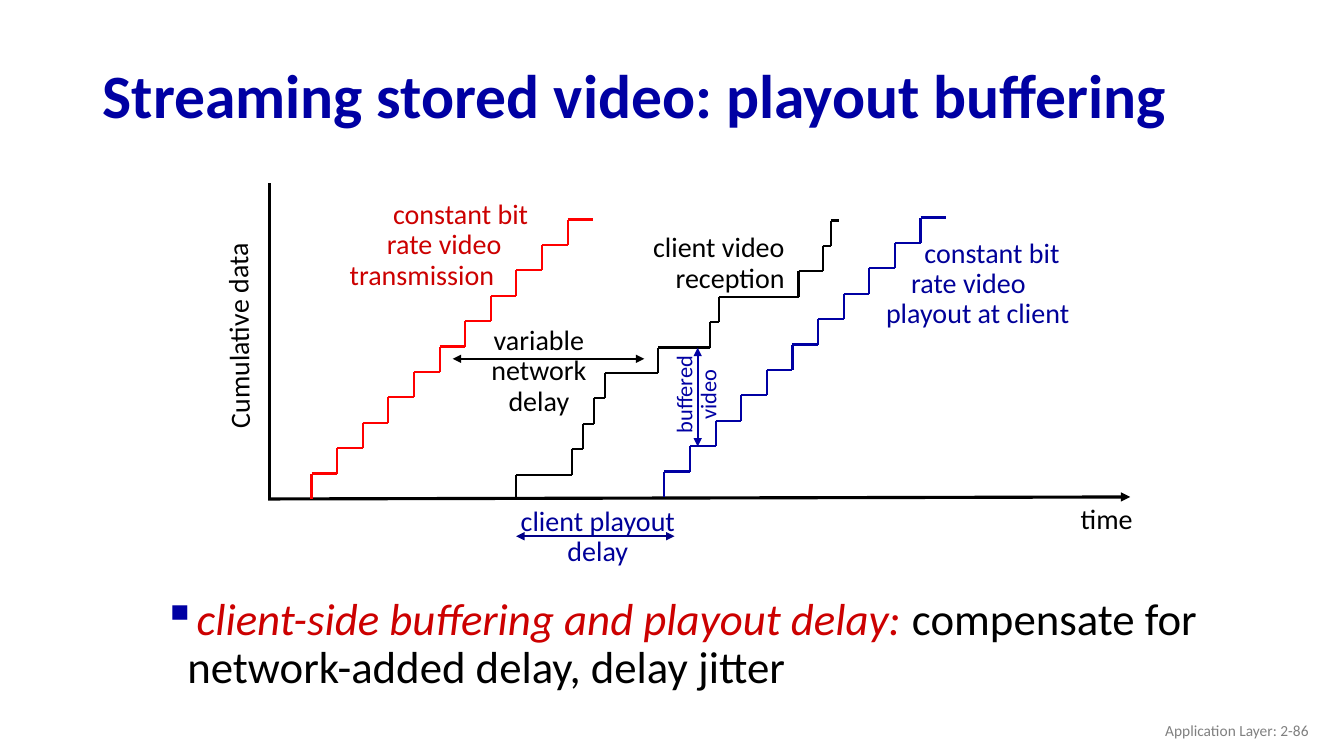
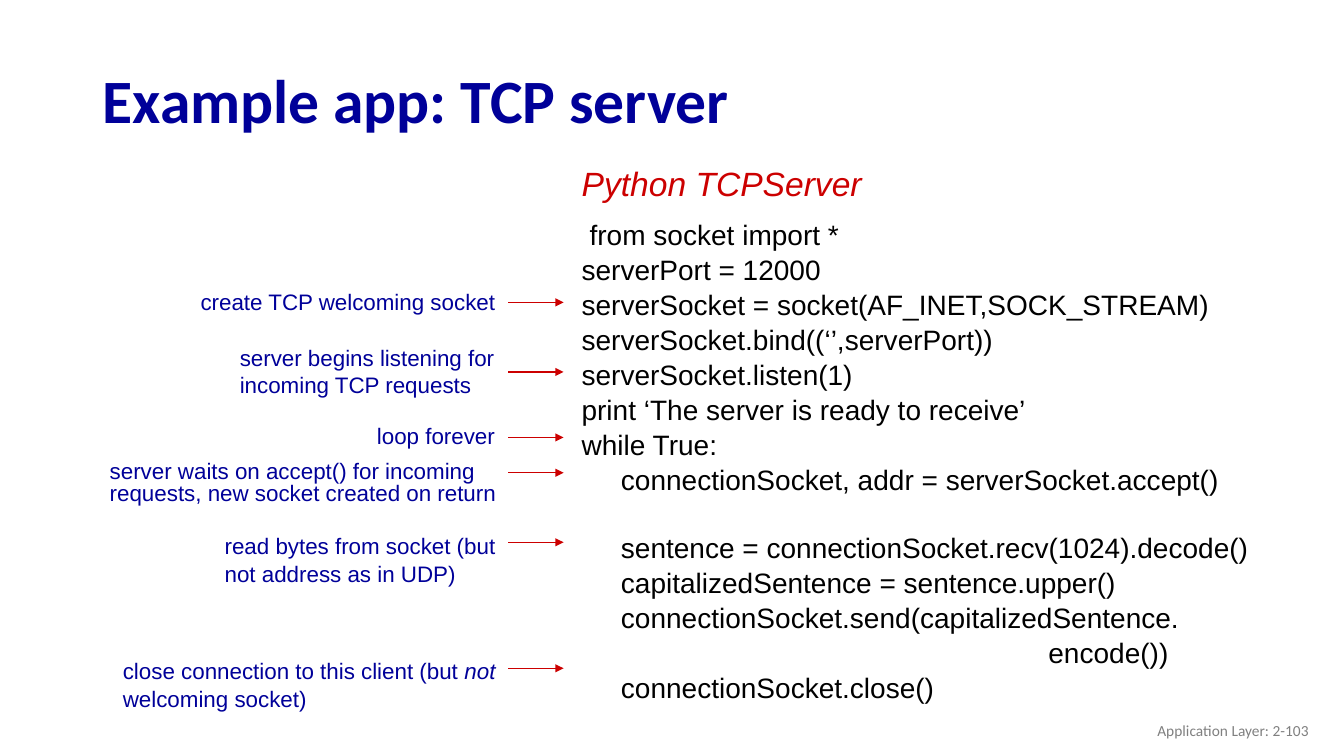
from lxml import etree
from pptx import Presentation
from pptx.dml.color import RGBColor
from pptx.enum import shapes, text
from pptx.oxml.ns import qn
from pptx.util import Inches, Pt

NAVY = RGBColor(0x00, 0x00, 0x99)
BLUE = RGBColor(0x00, 0x00, 0xA3)
DARK_BLUE = RGBColor(0x01, 0x00, 0x86)
CRIMSON = RGBColor(0xCC, 0x00, 0x00)
RED = RGBColor(0xFF, 0x00, 0x00)
BLACK = RGBColor(0x00, 0x00, 0x00)
GRAY = RGBColor(0x80, 0x80, 0x80)
LEFT, CENTER, RIGHT = text.PP_ALIGN.LEFT, text.PP_ALIGN.CENTER, text.PP_ALIGN.RIGHT
TOP, MIDDLE = text.MSO_ANCHOR.TOP, text.MSO_ANCHOR.MIDDLE


def add_text(s, at, lines, size, color, font="Calibri", spacing=0.9,
             align=LEFT, anchor=TOP, indents=(), rotation=0):
    sp = s.shapes.add_textbox(*map(Inches, at))
    sp.rotation = rotation
    tf = sp.text_frame
    tf.word_wrap = True
    tf.vertical_anchor = anchor
    tf.text = "\n".join(lines)
    for p in tf.paragraphs:
        p.alignment = align
        p.line_spacing = spacing
        p.font.name = font
        p.font.size = Pt(size)
        p.font.color.rgb = color
    for p, indent in zip(tf.paragraphs, indents):
        p._p.get_or_add_pPr().set("marL", str(Inches(indent)))
    return tf


def add_line(s, x1, y1, x2, y2, color, width=1.5, ends=()):
    cx = s.shapes.add_connector(shapes.MSO_CONNECTOR.STRAIGHT,
                                *map(Inches, (x1, y1, x2, y2)))
    cx.line.color.rgb = color
    cx.line.width = Pt(width)
    for end in ends:
        etree.SubElement(cx.line._get_or_add_ln(), qn("a:" + end), type="triangle")
    etree.SubElement(cx._element.spPr, qn("a:effectLst"))


prs = Presentation()
prs.slide_width, prs.slide_height = Inches(13.33), Inches(7.5)

slides = []
for title, color, spacing, number in [
    ("Streaming stored video: playout buffering", BLUE, 0.9, 86),
    ("Example app: TCP server", NAVY, 1.0, 103),
]:
    s = prs.slides.add_slide(prs.slide_layouts[6])
    tf = add_text(s, (0.92, 0.49, 11.5, 0.98), [title], 44, color,
                  spacing=spacing, anchor=MIDDLE)
    tf.paragraphs[0].font.bold = True
    add_text(s, (10.08, 7.05, 3, 0.4), [f"Application Layer: 2-{number}"], 11, GRAY,
             spacing=1.0, align=RIGHT, anchor=MIDDLE)
    slides.append(s)

s = slides[0]
add_line(s, 2.67, 1.82, 2.67, 4.94, BLACK, 2.25)
add_line(s, 2.66, 4.95, 11.21, 4.93, BLACK, 2.25, ["tailEnd"])

STEPS, RISE, RUN = 11, 0.252, 0.254
sent = [3.09 + RUN * i for i in range(STEPS + 1)]
received = [5.12, 5.67, 5.78, 5.89, 6, 6.53, 7.04, 7.13, 7.92, 8.16, 8.24, 8.32]
played = [6.59 + RUN * i for i in range(STEPS + 1)]
for xs, base, color in [(sent, 4.95, RED), (received, 4.96, BLACK), (played, 4.93, BLUE)]:
    for i in range(STEPS):
        y = base - RISE * i
        add_line(s, xs[i], y, xs[i], y - RISE, color)
        add_line(s, xs[i], y - RISE, xs[i + 1], y - RISE, color)

both = ["headEnd", "tailEnd"]
add_line(s, 4.49, 3.56, 6.39, 3.56, BLACK, ends=both)
add_line(s, 5.12, 5.32, 6.69, 5.32, DARK_BLUE, ends=both)
add_line(s, 6.92, 4.43, 6.92, 3.45, BLUE, ends=both)

add_text(s, (3.37, 1.94, 2.06, 1.01), ["constant bit", "rate video", "transmission"],
         20, CRIMSON, indents=(0.43, 0.37, 0))
add_text(s, (8.63, 2.32, 2.3, 1.01), ["constant bit", "rate video", "playout at client"],
         20, NAVY, indents=(0.44, 0.31, 0.06))
add_text(s, (1.31, 3.08, 2.14, 0.4), ["Cumulative data"], 20, BLACK, rotation=269.4)
add_text(s, (10.62, 4.96, 0.9, 0.4), ["time"], 20, BLACK)
add_text(s, (4.67, 3.19, 1.35, 1.01), ["variable", "network", "delay"], 20, BLACK,
         align=CENTER)
add_text(s, (6.26, 2.27, 1.62, 0.71), ["client video", "reception"], 20, BLACK,
         align=RIGHT)
add_text(s, (5.01, 4.98, 1.84, 0.71), ["client playout", "delay"], 20, NAVY,
         align=CENTER)
add_text(s, (6.33, 3.62, 1.18, 0.59), ["buffered", "video"], 16, BLUE,
         align=CENTER, rotation=270)

tf = add_text(s, (1.37, 5.87, 11.5, 0.97), ["client-side buffering and playout delay: "],
              32, BLACK, indents=[0.39])
p = tf.paragraphs[0]
p.runs[0].font.italic = True
p.runs[0].font.color.rgb = CRIMSON
p.add_run().text = "compensate for network-added delay, delay jitter"
pPr = p._p.get_or_add_pPr()
pPr.set("indent", str(Inches(-0.24)))
bullet_color = etree.Element(qn("a:buClr"))
etree.SubElement(bullet_color, qn("a:srgbClr"), val=str(BLUE))
bullet_char = etree.Element(qn("a:buChar"), char="▪")
position = pPr.index(pPr.find(qn("a:lnSpc"))) + 1
pPr[position:position] = [bullet_color, bullet_char]

s = slides[1]
tf = add_text(s, (5.67, 1.57, 3.09, 0.51), ["Python TCPServer"], 24, CRIMSON, "Arial", 1.0)
tf.paragraphs[0].font.italic = True

TAB = 0.39
code = [
    (0.08, "from socket import *"),
    (0, "serverPort = 12000"),
    (0, "serverSocket = socket(AF_INET,SOCK_STREAM)"),
    (0, "serverSocket.bind((‘’,serverPort))"),
    (0, "serverSocket.listen(1)"),
    (0, "print ‘The server is ready to receive’"),
    (0, "while True:"),
    (TAB, "connectionSocket, addr = serverSocket.accept()"),
    (TAB, "sentence = connectionSocket.recv(1024).decode()"),
    (TAB, "capitalizedSentence = sentence.upper()"),
    (TAB, "connectionSocket.send(capitalizedSentence."),
    (4.63, "encode())"),
    (TAB, "connectionSocket.close()"),
]
indents, lines = zip(*code)
tf = add_text(s, (5.67, 2.1, 7.2, 4.9), lines, 20, BLACK, "Arial", 1.04, indents=indents)
tf.paragraphs[8].space_before = Pt(24)

for at, label, spacing, arrow_y in [
    ((1.89, 2.8, 3.35, 0.37), "create TCP welcoming socket", 1.04, 3),
    ((2.28, 3.35, 3.14, 0.64), "server begins listening for incoming TCP requests", 1.04, 3.69),
    ((3.64, 4.18, 2.03, 0.33), "loop forever", Pt(16), 4.34),
    ((0.99, 4.53, 4.67, 0.55),
     "server waits on accept() for incoming requests, new socket created on return",
     Pt(16), 4.69),
    ((2.13, 5.22, 3, 0.64), "read bytes from socket (but not address as in UDP)", 1.04, 5.38),
    ((1.12, 6.46, 4.27, 0.64), "close connection to this client (but ", 1.04, 6.63),
]:
    tf = add_text(s, at, [label], 16, NAVY, "Arial", spacing)
    add_line(s, 5.04, arrow_y, 5.59, arrow_y, CRIMSON, 1, ["tailEnd"])

p = tf.paragraphs[0]
r = p.add_run()
r.text = "not"
r.font.italic = True
p.add_run().text = " welcoming socket)"

prs.save("out.pptx")
